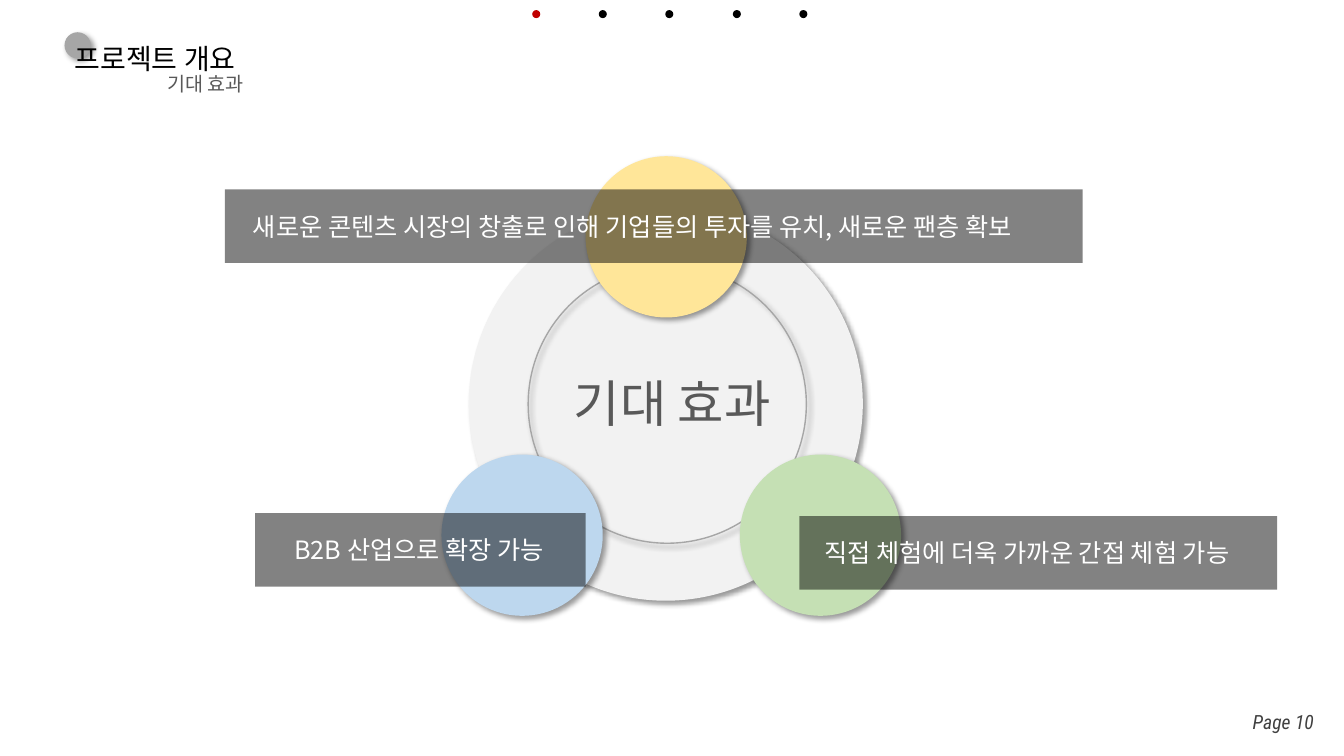
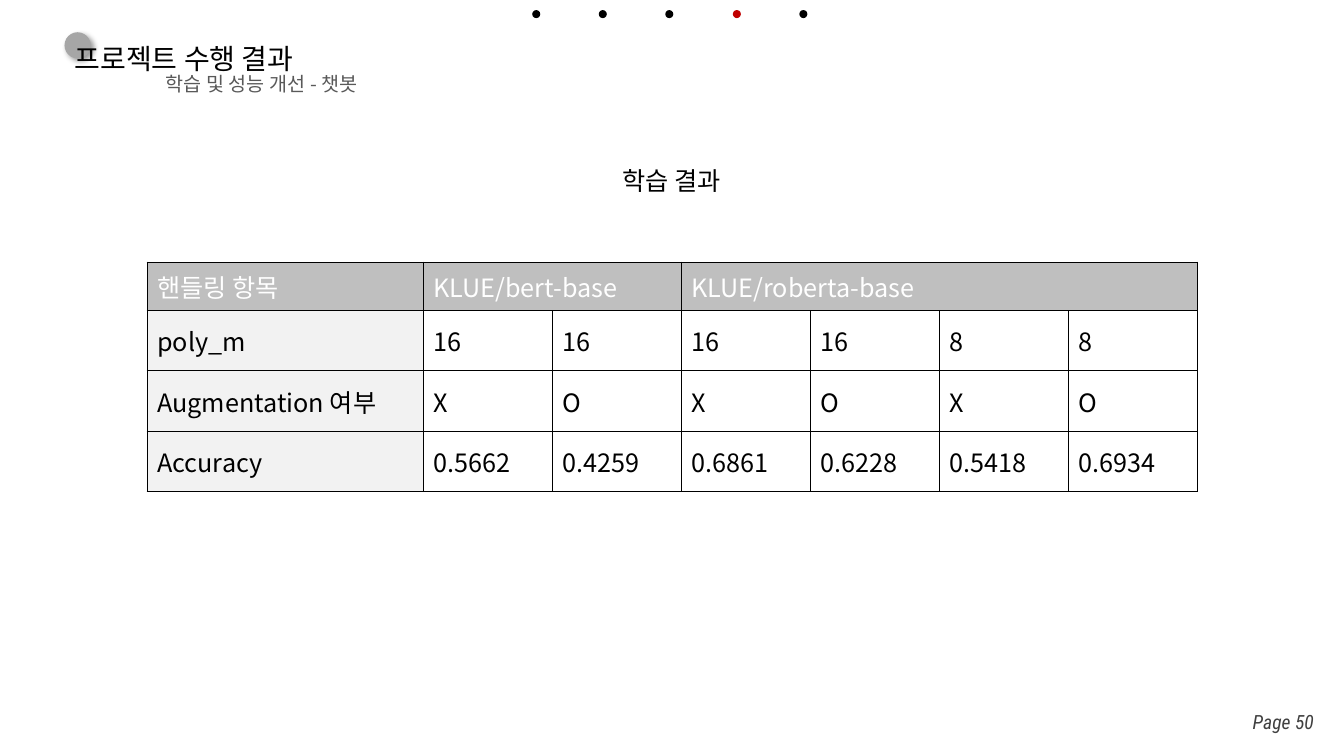
from lxml import etree
from pptx import Presentation
from pptx import util as u
from pptx.dml.color import RGBColor
from pptx.enum import shapes, text
from pptx.oxml import ns

SCALE = 9144  # EMU in one px, 100 px to the inch

BLACK = RGBColor(0x00, 0x00, 0x00)
WHITE = RGBColor(0xFF, 0xFF, 0xFF)
RED = RGBColor(0xC0, 0x00, 0x00)
INK = RGBColor(0x40, 0x40, 0x40)
SLATE = RGBColor(0x59, 0x59, 0x59)
GREY = RGBColor(0xA6, 0xA6, 0xA6)
HEADER = RGBColor(0xBF, 0xBF, 0xBF)
PALE = RGBColor(0xF2, 0xF2, 0xF2)
YELLOW = RGBColor(0xFF, 0xE6, 0x99)
BLUE = RGBColor(0xBD, 0xD7, 0xEE)
GREEN = RGBColor(0xC5, 0xE0, 0xB4)

KOREAN = "Noto Sans CJK KR"
CONDENSED = "Roboto Condensed"
OVAL = shapes.MSO_SHAPE.OVAL
LEFT, CENTER, RIGHT = text.PP_ALIGN.LEFT, text.PP_ALIGN.CENTER, text.PP_ALIGN.RIGHT
TOP, MIDDLE = text.MSO_ANCHOR.TOP, text.MSO_ANCHOR.MIDDLE
GROW, FIXED = text.MSO_AUTO_SIZE.SHAPE_TO_FIT_TEXT, text.MSO_AUTO_SIZE.NONE


def px(*lengths):
    return [u.Emu(length * SCALE) for length in lengths]


def add_element(parent, tag, **attributes):
    element = etree.SubElement(parent, ns.qn(tag))
    for name, value in attributes.items():
        element.set(name, str(value))
    return element


class Deck:
    """Holds the style and the current slide."""

    def __init__(self):
        self.presentation = Presentation()
        self.presentation.slide_width = u.Emu(12192000)
        self.presentation.slide_height = u.Inches(7.5)
        self.slide = None

    def start_slide(self, title, title_width, section, page):
        layout = self.presentation.slide_layouts[5]
        self.slide = self.presentation.slides.add_slide(layout)
        # Section dots
        for index in range(5):
            color = RED if index == section else BLACK
            self.circle(round(528 + 66.25 * index), 10, 8, color)
        # Title in front of its grey mark
        self.circle(64, 32, 26, GREY, shadow=True)
        heading = self.slide.shapes.title
        self.slide.shapes._spTree.append(heading._element)
        heading.left, heading.top, heading.width, heading.height = px(64, 36, title_width, 44)
        self.fill_frame(heading.text_frame, title, size=20)
        # Page number
        self.label(f"Page {page}", 1233, 696, 100, 40, size=14, color=INK,
                   font=CONDENSED, italic=True, anchor=MIDDLE, fit=FIXED)

    def add_words(self, paragraph, words, size=18, color=BLACK, font=KOREAN,
                  italic=False, align=LEFT):
        paragraph.alignment = align
        run = paragraph.add_run()
        run.text = words
        style = {"size": u.Pt(size), "name": font, "italic": italic, "bold": False}
        for name, value in style.items():
            setattr(run.font, name, value)
        run.font.color.rgb = color
        add_element(run.font._element, "a:ea", typeface=font)

    def fill_frame(self, frame, words, anchor=TOP, fit=GROW, inset=10, **style):
        side, edge = px(10, 5)
        layout = {"word_wrap": True, "auto_size": fit, "vertical_anchor": anchor,
                  "margin_left": px(inset)[0], "margin_right": side,
                  "margin_top": edge, "margin_bottom": edge}
        for name, value in layout.items():
            setattr(frame, name, value)
        self.add_words(frame.paragraphs[0], words, **style)

    def label(self, words, left, top, width, height, **style):
        box = self.slide.shapes.add_textbox(*px(left, top, width, height))
        self.fill_frame(box.text_frame, words, **style)

    def subtitle(self, words, left, width, align=LEFT):
        self.label(words, left, 66, width, 34, size=14, color=SLATE, align=align)

    def circle(self, left, top, size, fill=None, line=None, shadow=False):
        shape = self.slide.shapes.add_shape(OVAL, *px(left, top, size, size))
        shape.shadow.inherit = False
        if fill is None:
            shape.fill.background()
        else:
            shape.fill.solid()
            shape.fill.fore_color.rgb = fill
        if line is None:
            shape.line.fill.background()
        else:
            shape.line.color.rgb = line
            shape.line.width = u.Pt(1)
        if shadow:
            effects = shape._element.spPr.find(ns.qn("a:effectLst"))
            outer = add_element(effects, "a:outerShdw", blurRad=50800, dist=38100,
                                dir=2700000, algn="tl", rotWithShape=0)
            add_element(add_element(outer, "a:srgbClr", val=BLACK), "a:alpha", val=40000)

    def banner(self, words, left, top, width, inset):
        shape = self.slide.shapes.add_shape(
            shapes.MSO_SHAPE.RECTANGLE, *px(left, top, width, 73))
        shape.shadow.inherit = False
        shape.line.fill.background()
        shape.fill.solid()
        shape.fill.fore_color.rgb = BLACK
        color = shape._element.spPr.find(ns.qn("a:solidFill"))[0]
        add_element(color, "a:alpha", val=49000)
        self.fill_frame(shape.text_frame, words, anchor=MIDDLE, fit=FIXED,
                        inset=inset, color=WHITE)

    def table(self, rows, left, top, widths, heights, spans):
        graphic = self.slide.shapes.add_table(
            len(rows), len(widths), *px(left, top, sum(widths), sum(heights)))
        table = graphic.table
        table.first_row = table.horz_banding = False
        for column, width in zip(table.columns, px(*widths)):
            column.width = width
        for row, height in zip(table.rows, px(*heights)):
            row.height = height
        for first, last in spans:
            table.cell(0, first).merge(table.cell(0, last))
        for row_index, row in enumerate(rows):
            for column_index, words in enumerate(row):
                cell = table.cell(row_index, column_index)
                self.borders(cell)
                cell.vertical_anchor = MIDDLE
                if row_index and column_index:
                    cell.fill.background()
                else:
                    cell.fill.solid()
                    cell.fill.fore_color.rgb = PALE if row_index else HEADER
                if words:
                    self.add_words(cell.text_frame.paragraphs[0], words,
                                   color=BLACK if row_index else WHITE)

    def borders(self, cell):
        properties = cell._tc.get_or_add_tcPr()
        for side in "LRTB":
            line = add_element(properties, f"a:ln{side}", w=int(u.Pt(0.75)))
            add_element(add_element(line, "a:solidFill"), "a:srgbClr", val=BLACK)


def expected_effects(deck):
    deck.start_slide("프로젝트 개요", 209, section=0, page=10)
    deck.subtitle("기대 효과", 43, 209, RIGHT)
    # Hub with three satellites
    deck.circle(465, 205, 391, PALE, shadow=True)
    deck.circle(524, 263, 276, line=GREY, shadow=True)
    for left, top, color in [(581, 155, YELLOW), (438, 451, BLUE), (734, 451, GREEN)]:
        deck.circle(left, top, 160, color, shadow=True)
    deck.label("기대 효과", 543, 364, 248, 71, size=36, color=SLATE, align=CENTER)
    # Effects
    deck.banner("새로운 콘텐츠 시장의 창출로 인해 기업들의 투자를 유치, 새로운 팬층 확보",
                223, 188, 851, inset=28)
    deck.banner("B2B 산업으로 확장 가능", 253, 509, 328, inset=39)
    deck.banner("직접 체험에 더욱 가까운 간접 체험 가능", 793, 512, 474, inset=25)


def training_results(deck):
    deck.start_slide("프로젝트 수행 결과", 347, section=3, page=50)
    deck.subtitle("학습 및 성능 개선", 104, 209, RIGHT)
    deck.subtitle("- 챗봇", 298, 196)
    deck.label("학습 결과", 333, 159, 667, 40, align=CENTER)
    # Results by model
    rows = [
        ["핸들링 항목", "KLUE/bert-base", "", "KLUE/roberta-base", "", "", ""],
        ["poly_m", "16", "16", "16", "16", "8", "8"],
        ["Augmentation 여부", "X", "O", "X", "O", "X", "O"],
        ["Accuracy", "0.5662", "0.4259", "0.6861", "0.6228", "0.5418", "0.6934"],
    ]
    deck.table(rows, 146, 260, widths=[274] + [128] * 6, heights=[48] + [60] * 3,
               spans=[(1, 2), (3, 6)])


def main():
    deck = Deck()
    expected_effects(deck)
    training_results(deck)
    deck.presentation.save("out.pptx")


if __name__ == "__main__":
    main()
